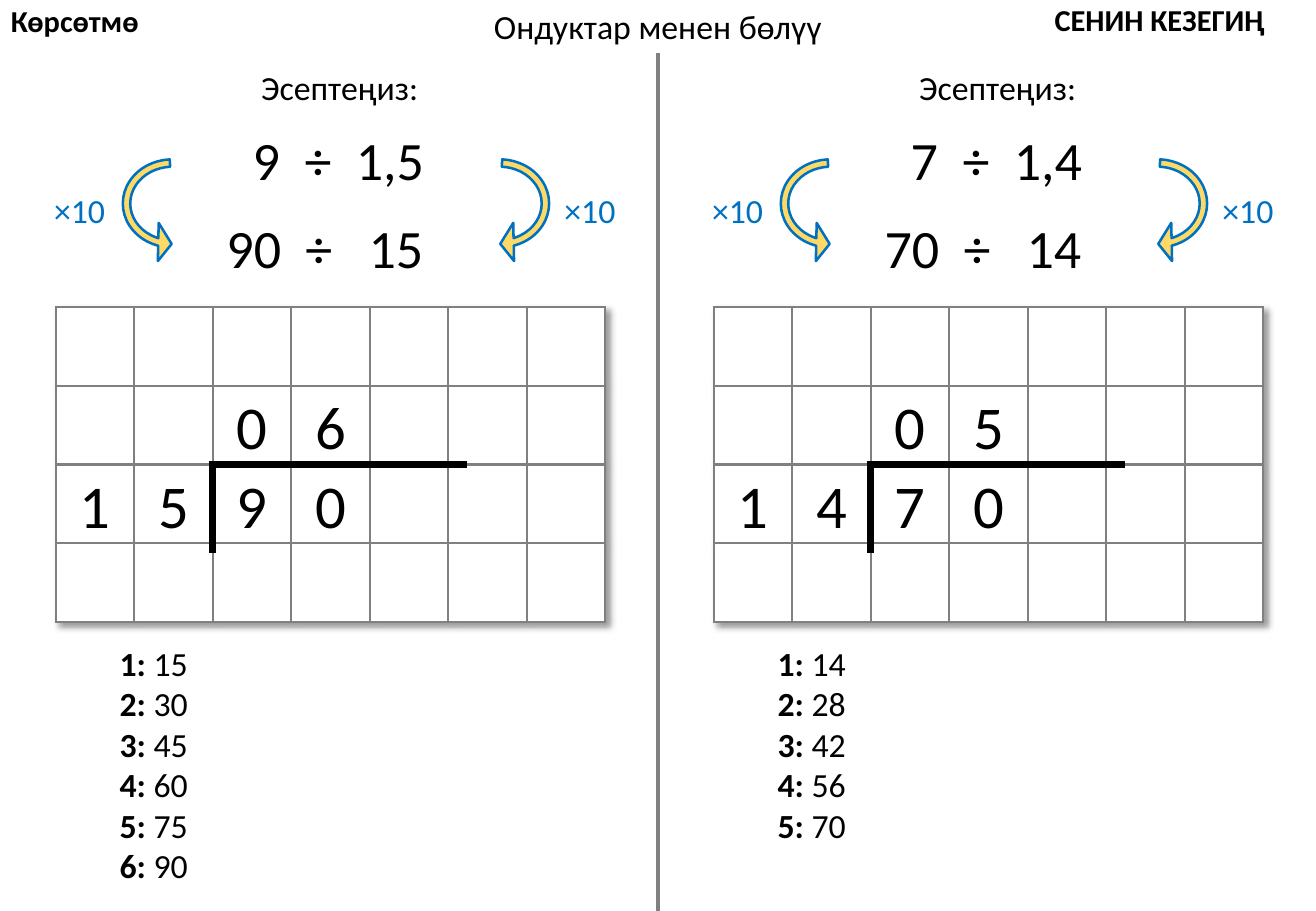
import dataclasses

import lxml.etree
import pptx
import pptx.dml.color
import pptx.enum.shapes
import pptx.enum.text
import pptx.oxml
import pptx.oxml.ns
import pptx.util

Inches = pptx.util.Inches
Pt = pptx.util.Pt
qn = pptx.oxml.ns.qn
ALIGN = pptx.enum.text.PP_ALIGN
SHAPES = pptx.enum.shapes.MSO_SHAPE
NAMESPACE = 'xmlns:a="http://schemas.openxmlformats.org/drawingml/2006/main"'


@dataclasses.dataclass(frozen=True)
class Theme:
    """Colours, font and type sizes of the worksheet."""

    font: str = "Calibri"
    ink: str = "000000"
    paper: str = "FFFFFF"
    grid: str = "808080"
    accent: str = "0070C0"
    arrow: str = "FFD966"
    corner: float = 18
    body: float = 20
    equation: float = 32
    digit: float = 36
    thin: float = 1.5
    divider: float = 2.25
    bracket: float = 4.5


@dataclasses.dataclass(frozen=True)
class Problem:
    """A division with a decimal divisor and its whole-number form."""

    dividend: str
    divisor: str
    scaled_dividend: int
    scaled_divisor: int


THEME = Theme()
WIDTH, HEIGHT = 10.83, 7.5
COLUMNS, ROWS = 7, 4
ARROW_ADJUSTMENTS = (0.062, 11.423, 203.847, 110.164, 0.16)
PROBLEMS = (Problem("9", "1,5", 90, 15), Problem("7", "1,4", 70, 14))


def rgb(value):
    """Turn a hex string into a colour."""
    return pptx.dml.color.RGBColor.from_string(value)


def add_text(slide, box, lines, size, color=THEME.ink, align=ALIGN.CENTER, tabs=()):
    """Add a text box whose lines are lists of (text, bold) runs."""
    shape = slide.shapes.add_textbox(*map(Inches, box))
    frame = shape.text_frame
    frame.word_wrap = bool(tabs)
    frame.auto_size = pptx.enum.text.MSO_AUTO_SIZE.SHAPE_TO_FIT_TEXT
    for index, runs in enumerate(lines):
        paragraph = frame.add_paragraph() if index else frame.paragraphs[0]
        paragraph.alignment = align
        if tabs:
            tab_list = lxml.etree.SubElement(paragraph._p.get_or_add_pPr(), qn("a:tabLst"))
            for position in tabs:
                lxml.etree.SubElement(tab_list, qn("a:tab"), pos=str(Inches(position)), algn="l")
        for text, bold in runs:
            run = paragraph.add_run()
            run.text = text
            run.font.name = THEME.font
            run.font.size = Pt(size)
            run.font.bold = bold
            run.font.color.rgb = rgb(color)


def add_line(slide, start, end, color, width):
    """Draw a straight line without a shadow."""
    line = slide.shapes.add_connector(
        pptx.enum.shapes.MSO_CONNECTOR.STRAIGHT, *map(Inches, start + end))
    line.line.color.rgb = rgb(color)
    line.line.width = Pt(width)
    lxml.etree.SubElement(line._element.spPr, qn("a:effectLst"))


def add_grid(slide, left, top, width, height):
    """Draw the squared paper as a table with a soft shadow."""
    table = slide.shapes.add_table(
        ROWS, COLUMNS, *map(Inches, (left, top, width, height))).table
    table.first_row = table.horz_banding = False
    table._tbl.tblPr.insert(0, pptx.oxml.parse_xml(
        f'<a:effectLst {NAMESPACE}><a:outerShdw blurRad="50800" dist="38100" dir="2700000" '
        'algn="tl" rotWithShape="0"><a:prstClr val="black"><a:alpha val="40000"/>'
        '</a:prstClr></a:outerShdw></a:effectLst>'))
    for cell in table.iter_cells():
        properties = cell._tc.get_or_add_tcPr()
        for side in ("lnL", "lnR", "lnT", "lnB"):
            properties.append(pptx.oxml.parse_xml(
                f'<a:{side} {NAMESPACE} w="{Pt(THEME.thin)}"><a:solidFill>'
                f'<a:srgbClr val="{THEME.grid}"/></a:solidFill></a:{side}>'))
        cell.fill.solid()
        cell.fill.fore_color.rgb = rgb(THEME.paper)


def add_arrow(slide, left, top, flipped):
    """Draw a curved arrow from the first equation to the second."""
    arrow = slide.shapes.add_shape(
        SHAPES.CIRCULAR_ARROW, *map(Inches, (left, top, 0.98, 1.07)))
    for index, value in enumerate(ARROW_ADJUSTMENTS):
        arrow.adjustments[index] = value
    arrow.rotation = 90
    if flipped:
        arrow._element.spPr.find(qn("a:xfrm")).set("flipV", "1")
    arrow.shadow.inherit = False
    arrow.fill.solid()
    arrow.fill.fore_color.rgb = rgb(THEME.arrow)
    arrow.line.color.rgb = rgb(THEME.accent)
    arrow.line.width = Pt(THEME.thin)


def draw_equations(slide, left, top, problem):
    """Place the prompt, both equations and the scaling arrows."""
    add_text(slide, (left + 2.04, top, 1.51, 0.44), [[("Эсептеңиз:", False)]], THEME.body)
    equation = f"{problem.dividend}\t÷\t{problem.divisor}"
    add_text(slide, (left + 1.98, top + 0.49, 1.63, 0.64), [[(equation, False)]],
             THEME.equation, align=ALIGN.LEFT, tabs=(0.43, 0.85))
    for offset, width, text in ((1.76, 0.66, str(problem.scaled_dividend)),
                                (2.41, 0.43, "÷"),
                                (2.93, 0.66, str(problem.scaled_divisor))):
        add_text(slide, (left + offset, top + 1.22, width, 0.64),
                 [[(text, False)]], THEME.equation)
    for arrow_left, label_left, flipped in ((0.93, 0.34, True), (3.62, 4.54, False)):
        add_arrow(slide, left + arrow_left, top + 0.64, flipped)
        add_text(slide, (left + label_left, top + 1.01, 0.63, 0.44),
                 [[("×10", False)]], THEME.body, THEME.accent)


def draw_long_division(slide, left, top, width, height, problem):
    """Set out the long division on the grid."""
    add_grid(slide, left, top, width, height)
    column, row = width / COLUMNS, height / ROWS
    bar = top + 2 * row
    add_line(slide, (left + 1.26, bar), (left + 3.38, bar), THEME.ink, THEME.bracket)
    add_line(slide, (left + 1.29, bar), (left + 1.29, bar + 0.73), THEME.ink, THEME.bracket)
    quotient = problem.scaled_dividend // problem.scaled_divisor
    for row_index, first_column, digits in (
            (1, 2, f"{quotient:02}"),
            (2, 0, f"{problem.scaled_divisor}{problem.scaled_dividend}")):
        for index, digit in enumerate(digits, first_column):
            box = (left + (index + 0.5) * column - 0.23,
                   top + (row_index + 0.5) * row - 0.35, 0.46, 0.71)
            add_text(slide, box, [[(digit, False)]], THEME.digit)


def draw_problem(slide, left, top, problem):
    """Draw one half of the worksheet."""
    draw_equations(slide, left, top + 0.5, problem)
    draw_long_division(slide, left + 0.46, top + 2.53, 4.52, 2.59, problem)
    count = problem.scaled_dividend // problem.scaled_divisor
    multiples = [[(f"{factor}:", True), (f" {factor * problem.scaled_divisor}", False)]
                 for factor in range(1, count + 1)]
    add_text(slide, (left + 0.88, top + 5.24, 0.77, 0.1 + count / 3),
             multiples, THEME.body)


def draw_header(slide):
    """Place the title, the corner labels and the divider."""
    add_line(slide, (WIDTH / 2, 0.44), (WIDTH / 2, HEIGHT), THEME.grid, THEME.divider)
    add_text(slide, (3.95, 0, 2.93, 0.44), [[("Ондуктар менен бөлүү", False)]], THEME.body)
    for box, label in (((-0.01, -0.03, 1.38, 0.4), "Көрсөтмө"),
                       ((8.58, -0.04, 2.27, 0.4), "СЕНИН КЕЗЕГИҢ")):
        add_text(slide, box, [[(label, True)]], THEME.corner, align=ALIGN.LEFT)


def main():
    """Build and save the worksheet."""
    presentation = pptx.Presentation()
    presentation.slide_width = Inches(WIDTH)
    presentation.slide_height = Inches(HEIGHT)
    slide = presentation.slides.add_slide(presentation.slide_layouts[6])
    draw_header(slide)
    for index, problem in enumerate(PROBLEMS):
        draw_problem(slide, index * WIDTH / 2, 0, problem)
    presentation.save("out.pptx")


if __name__ == "__main__":
    main()
